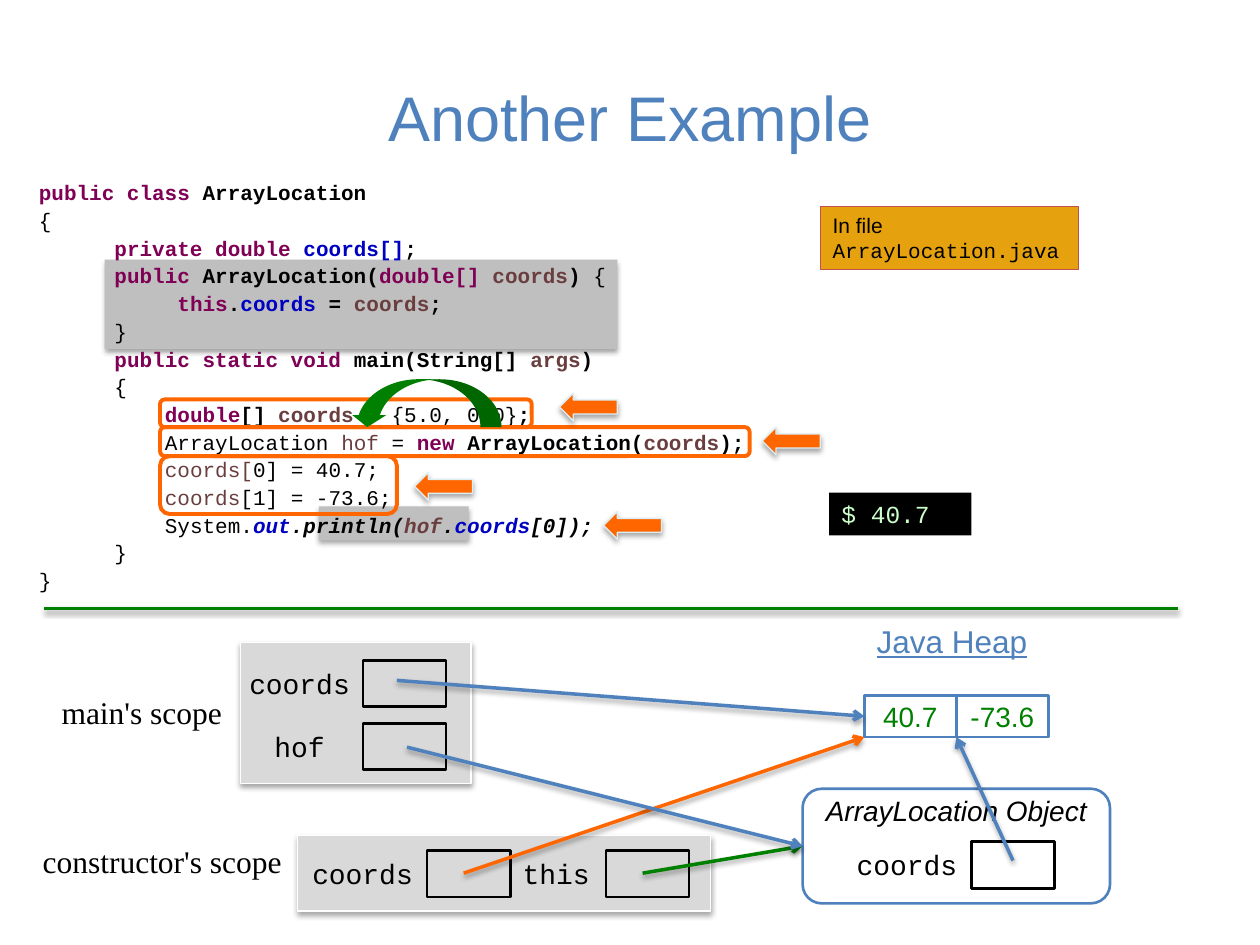
import pptx
import pptx.dml.color
import pptx.enum.shapes
import pptx.enum.text
import pptx.oxml.ns
import pptx.util
from lxml import etree

Inches = pptx.util.Inches
Pt = pptx.util.Pt
RGBColor = pptx.dml.color.RGBColor
SHAPE = pptx.enum.shapes.MSO_SHAPE
ALIGN = pptx.enum.text.PP_ALIGN
ANCHOR = pptx.enum.text.MSO_ANCHOR
qn = pptx.oxml.ns.qn

BLACK = RGBColor(0x00, 0x00, 0x00)
WHITE = RGBColor(0xFF, 0xFF, 0xFF)
BLUE = RGBColor(0x4F, 0x81, 0xBD)
GREEN = RGBColor(0x00, 0x80, 0x00)
ORANGE = RGBColor(0xFF, 0x66, 0x00)
HIGHLIGHT = RGBColor(0xBF, 0xBF, 0xBF)
SCOPE_GRAY = RGBColor(0xD9, 0xD9, 0xD9)
AMBER = RGBColor(0xE6, 0xA2, 0x0E)
RED = RGBColor(0xC0, 0x50, 0x4D)
PALE_BLUE = RGBColor(0xDB, 0xEE, 0xF4)
MINT = RGBColor(0xCC, 0xFF, 0xCC)
KEYWORD = RGBColor(0x7F, 0x00, 0x55)
FIELD = RGBColor(0x00, 0x00, 0xC0)
VARIABLE = RGBColor(0x6A, 0x3E, 0x3E)

SANS, MONO, SERIF = "Arial", "Courier New", "Times New Roman"
SLOT_SIZE = (0.66, 0.37)

CODE_STYLES = {
    "plain": (BLACK, False, False),
    "bold": (BLACK, True, False),
    "keyword": (KEYWORD, True, False),
    "field": (FIELD, True, False),
    "variable": (VARIABLE, True, False),
    "name": (VARIABLE, False, False),
    "bold italic": (BLACK, True, True),
    "field italic": (FIELD, True, True),
    "variable italic": (VARIABLE, True, True),
}
CODE = [
    [("public class", "keyword"), (" ArrayLocation", "bold")],
    [("{", "plain")],
    [("   \t ", "plain"), ("private double ", "keyword"), ("coords[]", "field"), (";", "bold")],
    [("\t public", "keyword"), (" ArrayLocation(", "bold"), ("double[] ", "keyword"),
     ("coords", "variable"), (") ", "bold"), ("{", "plain")],
    [("\t \t ", "bold"), ("this", "keyword"), (".", "bold"), ("coords", "field"),
     (" = ", "bold"), ("coords", "variable"), (";", "bold")],
    [("\t }", "plain")],
    [("\t public static void", "keyword"), (" main(String[] ", "bold"),
     ("args", "variable"), (")", "bold")],
    [(" \t {", "plain")],
    [("\t\t", "bold"), ("double", "keyword"), ("[] ", "bold"), ("coords ", "variable"),
     ("= {5.0, 0.0}", "plain"), (";", "bold")],
    [("\t\tArrayLocation ", "plain"), ("hof ", "name"), ("= ", "plain"), ("new", "keyword"),
     (" ArrayLocation(", "bold"), ("coords", "variable"), (");", "bold")],
    [("\t\t", "plain"), ("coords[", "name"), ("0] = 40.7;", "plain")],
    [("\t\t", "plain"), ("coords", "name"), ("[1] = -73.6;", "plain")],
    [("\t\tSystem.", "plain"), ("out", "field italic"), (".println(", "bold italic"),
     ("hof", "variable italic"), (".", "bold italic"), ("coords", "field italic"),
     ("[0]);", "bold italic")],
    [("\t }", "plain")],
    [("}", "plain")],
]


def fill_shadow(effects):
    shadow = etree.SubElement(effects, qn("a:outerShdw"), blurRad=str(Pt(3.1)),
                              dist=str(Pt(1.8)), dir="5400000", rotWithShape="0")
    color = etree.SubElement(shadow, qn("a:srgbClr"), val=str(BLACK))
    etree.SubElement(color, qn("a:alpha"), val="35000")


def add_box(slide, position, kind=SHAPE.RECTANGLE, fill=None, line=None, width=1.5, shadow=False):
    shape = slide.shapes.add_shape(kind, *map(Inches, position))
    shape.shadow.inherit = False
    if shadow:
        fill_shadow(shape._element.spPr.find(qn("a:effectLst")))
    if fill is None:
        shape.fill.background()
    else:
        shape.fill.solid()
        shape.fill.fore_color.rgb = fill
    if line is None:
        shape.line.fill.background()
    else:
        shape.line.color.rgb = line
        shape.line.width = Pt(width)
    return shape


def write(shape, text, size, font, color, align=ALIGN.LEFT, anchor=ANCHOR.TOP):
    frame = shape.text_frame
    frame.text = text
    frame.vertical_anchor = anchor
    for paragraph in frame.paragraphs:
        paragraph.alignment = align
        for run in paragraph.runs:
            run.font.size = Pt(size)
            run.font.name = font
            run.font.color.rgb = color
    return frame


def add_label(slide, position, text, size=16, font=MONO, color=BLACK):
    label = slide.shapes.add_textbox(*map(Inches, position))
    frame = write(label, text, size, font, color)
    frame.word_wrap = False
    return frame


def add_slot(slide, left, top):
    add_box(slide, (left, top, *SLOT_SIZE), line=BLACK)


def add_line(slide, start, end, color, width=2, arrow=True, target=None):
    connector = slide.shapes.add_connector(
        pptx.enum.shapes.MSO_CONNECTOR.STRAIGHT, *map(Inches, start + end))
    if target is not None:
        connector.end_connect(target, 1)
    connector.line.color.rgb = color
    connector.line.width = Pt(width)
    if arrow:
        etree.SubElement(connector.line._get_or_add_ln(), qn("a:tailEnd"), type="arrow")
    fill_shadow(etree.SubElement(connector._element.spPr, qn("a:effectLst")))


def add_code(slide):
    frame = slide.shapes.add_textbox(*map(Inches, (0.21, 1.36, 9.15, 3.53))).text_frame
    frame.word_wrap = True
    for index, pieces in enumerate(CODE):
        paragraph = frame.add_paragraph() if index else frame.paragraphs[0]
        paragraph.line_spacing = 1.1
        tabs = etree.SubElement(paragraph._p.get_or_add_pPr(), qn("a:tabLst"))
        for stop in (0.5, 1):
            etree.SubElement(tabs, qn("a:tab"), pos=str(Inches(stop)), algn="l")
        for text, style in pieces:
            run = paragraph.add_run()
            run.text = text
            run.font.size = Pt(12)
            run.font.name = MONO
            run.font.color.rgb, run.font.bold, run.font.italic = CODE_STYLES[style]


def add_title(slide):
    title = slide.shapes.title
    title.left, title.top, title.width, title.height = map(Inches, (0.5, 0.3, 9, 1.25))
    write(title, "Another Example", 36, SANS, BLUE, ALIGN.CENTER, ANCHOR.MIDDLE)


def add_scopes(slide):
    for position in ((1.91, 5.1, 1.83, 1.12), (2.36, 6.63, 3.28, 0.6)):
        add_box(slide, position, fill=SCOPE_GRAY, line=WHITE, width=0.75, shadow=True)
    add_label(slide, (0.39, 5.45, 1.52, 0.4), "main's scope", 18, SERIF)
    add_label(slide, (0.24, 6.63, 2.12, 0.4), "constructor's scope", 18, SERIF)
    for text, left, top, width, slot_left in (
            ("coords", 1.88, 5.24, 1.01, 2.88), ("hof", 2.08, 5.74, 0.61, 2.88),
            ("coords", 2.38, 6.75, 1.01, 3.39), ("this", 4.05, 6.75, 0.74, 4.81)):
        add_label(slide, (left, top, width, 0.37), text)
        add_slot(slide, slot_left, top)


def add_heap(slide):
    heading = add_label(slide, (6.86, 4.89, 1.41, 0.4), "Java Heap", 18, SANS, BLUE)
    heading.paragraphs[0].runs[0].font.underline = True
    instance = add_box(slide, (6.37, 6.26, 2.44, 0.91), SHAPE.ROUNDED_RECTANGLE, WHITE, BLUE)
    caption = write(instance, "ArrayLocation Object", 16, SANS, BLACK, ALIGN.CENTER).paragraphs[0]
    caption.line_spacing = 0.8
    caption.runs[0].font.italic = True
    add_label(slide, (6.7, 6.68, 1.01, 0.37), "coords")
    add_slot(slide, 7.71, 6.68)
    cells = []
    for index, value in enumerate(("40.7", "-73.6")):
        cell = add_box(slide, (6.86 + 0.73 * index, 5.52, 0.73, 0.33), fill=WHITE, line=BLUE)
        write(cell, value, 16, SANS, GREEN, ALIGN.CENTER, ANCHOR.MIDDLE)
        cells.append(cell)
    return cells[0], instance


def add_references(slide, first_cell, instance):
    add_line(slide, (8.04, 6.83), (7.59, 5.85), BLUE)
    add_line(slide, (3.15, 5.4), (6.86, 5.69), BLUE, target=first_cell)
    add_line(slide, (5.1, 6.93), (6.37, 6.71), GREEN, target=instance)
    add_line(slide, (3.68, 6.93), (6.86, 5.85), ORANGE)
    add_line(slide, (3.23, 5.93), (6.37, 6.71), BLUE, target=instance)


def add_code_marks(slide):
    for top, width, height in ((3.17, 2.95, 0.22), (3.39, 4.68, 0.23), (3.62, 1.88, 0.46)):
        add_box(slide, (1.27, top, width, height), SHAPE.ROUNDED_RECTANGLE, line=ORANGE, width=2.25)
    for left, top in ((4.44, 3.12), (6.05, 3.39), (3.29, 3.75), (4.79, 4.06)):
        add_box(slide, (left, top, 0.46, 0.22), SHAPE.LEFT_ARROW, ORANGE, PALE_BLUE, 0.75, True)
    loop = add_box(slide, (3.19, 2.6, 0.38, 1.2), SHAPE.CURVED_RIGHT_ARROW, GREEN)
    loop.rotation = 90
    for index, value in enumerate((0.44, 0.71, 0.25)):
        loop.adjustments[index] = value


def main():
    presentation = pptx.Presentation()
    presentation.slide_width, presentation.slide_height = Inches(10), Inches(7.5)
    slide = presentation.slides.add_slide(presentation.slide_layouts[5])
    add_title(slide)
    for position in ((2.53, 4.02, 1.19, 0.27), (0.83, 2.06, 4.07, 0.71)):
        add_box(slide, position, fill=HIGHLIGHT, shadow=True)
    add_code(slide)
    note = add_box(slide, (6.51, 1.64, 2.05, 0.5), fill=AMBER, line=RED, width=0.75)
    frame = write(note, "In file\nArrayLocation.java", 12, SANS, BLACK)
    frame.paragraphs[1].runs[0].font.name = MONO
    add_line(slide, (0.35, 4.83), (9.35, 4.83), GREEN, 1.5, arrow=False)
    add_scopes(slide)
    add_references(slide, *add_heap(slide))
    add_code_marks(slide)
    console = add_box(slide, (6.58, 3.91, 1.13, 0.34), fill=BLACK)
    write(console, "$ 40.7", 14, MONO, MINT)
    presentation.save("out.pptx")


if __name__ == "__main__":
    main()
